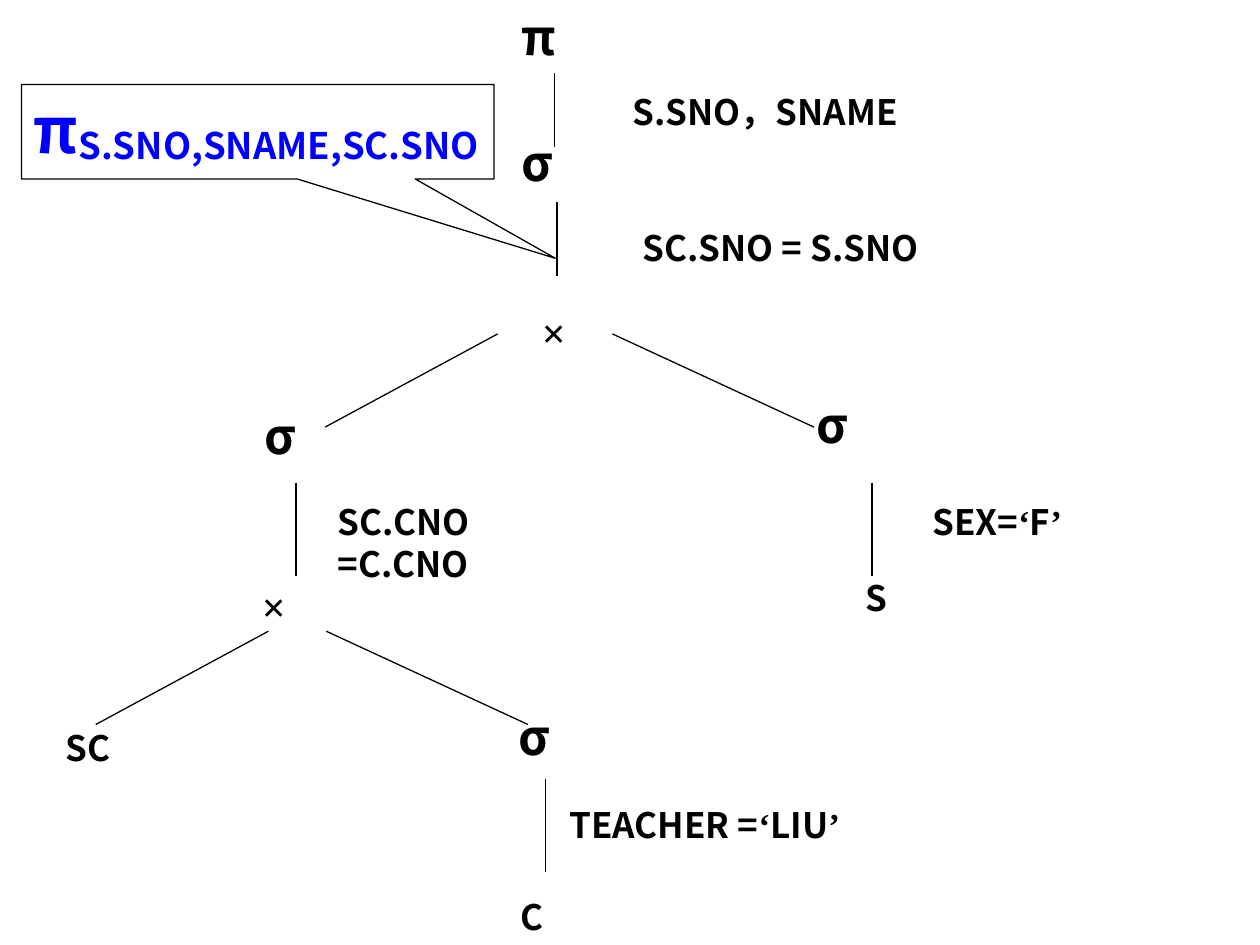
from dataclasses import dataclass

from lxml import etree
from pptx import Presentation
from pptx import util as u
from pptx.dml.color import RGBColor
from pptx.enum import shapes, text
from pptx.oxml import ns


@dataclass(frozen=True)
class Theme:
    sans: str = "Noto Sans CJK SC"
    serif: str = "Times New Roman"
    ink: RGBColor = RGBColor(0, 0, 0)
    blue: RGBColor = RGBColor(0, 0, 255)
    paper: RGBColor = RGBColor(255, 255, 255)
    body: int = 20
    cross: int = 24
    sign: int = 28
    call: int = 36
    rule: float = 0.75


T = Theme()


def add_run(para, words, size, face=T.sans, color=T.ink):
    run = para.add_run()
    run.text = words
    font = run.font
    font.size, font.bold, font.name = u.Pt(size), True, face
    font.color.rgb = color
    # East Asian glyphs use the same face
    props = run._r.get_or_add_rPr()
    etree.SubElement(props, ns.qn("a:ea")).set("typeface", face)
    return props


@dataclass
class Pane:
    """A region of the tree; parts are placed from its top left corner."""
    slide: object
    left: float
    top: float

    def spot(self, x, y):
        return u.Inches(self.left + x), u.Inches(self.top + y)

    def label(self, x, y, wide, high, *runs, size=T.body, pad=0.1):
        box = self.slide.shapes.add_textbox(
            *self.spot(x, y), u.Inches(wide), u.Inches(high))
        frame = box.text_frame
        frame.word_wrap = True
        frame.margin_left = u.Inches(pad)
        para = frame.paragraphs[0]
        para.alignment = text.PP_ALIGN.JUSTIFY
        for words, face in runs:
            add_run(para, words, size, face)

    def name(self, x, y, words, wide=1.14, high=0.44, **style):
        self.label(x, y, wide, high, (words, T.sans), **style)

    def sigma(self, x, y, wide=1.14, pad=0.19):
        self.name(x, y, "σ", wide, size=T.sign, pad=pad)

    def cross(self, x, y, wide, pad=0.1):
        self.label(x, y, wide, 0.44, ("×", T.serif), size=T.cross, pad=pad)

    def quote(self, x, y, wide, high, field, value):
        self.label(x, y, wide, high, (field, T.sans), ("‘", T.serif),
                   (value, T.sans), ("’", T.serif))

    def edge(self, x, y, dx, dy):
        line = self.slide.shapes.add_connector(
            shapes.MSO_CONNECTOR.STRAIGHT,
            *self.spot(x, y), *self.spot(x + dx, y + dy))
        line.line.color.rgb = T.ink
        line.line.width = u.Pt(T.rule)
        etree.SubElement(line._element.spPr, ns.qn("a:effectLst"))

    def stem(self, x, y, high=0.74):
        self.edge(x, y, 0, high)

    def fork(self, x, y, gap):
        self.edge(x, y, -1.37, 0.74)
        self.edge(x + gap, y, 1.6, 0.74)


def add_call(pane):
    # Callout pointing at the stem below the join condition
    box = pane.slide.shapes.add_shape(
        shapes.MSO_SHAPE.RECTANGULAR_CALLOUT,
        *pane.spot(0, 0), u.Inches(3.75), u.Inches(0.75))
    box.shadow.inherit = False
    box.adjustments[0], box.adjustments[1] = 0.63, 1.34
    box.fill.solid()
    box.fill.fore_color.rgb = T.paper
    box.line.color.rgb = T.ink
    box.line.width = u.Pt(T.rule)
    frame = box.text_frame
    frame.word_wrap = True
    frame.vertical_anchor = text.MSO_ANCHOR.TOP
    para = frame.paragraphs[0]
    para.alignment = text.PP_ALIGN.LEFT
    add_run(para, "π", T.call, color=T.blue)
    sub = add_run(para, "S.SNO,SNAME,SC.SNO", T.call, color=T.blue)
    sub.set("baseline", "-10000")


def add_root(pane):
    # Projection, selection and product down to the first fork
    pane.name(0, 0, "π", 1.67, size=T.sign, pad=0.19)
    pane.stem(0.45, 0.58, 0.59)
    pane.name(0.97, 0.67, "S.SNO，SNAME", 2.56, 0.42)
    pane.sigma(0, 1, 1.68)
    pane.stem(0.47, 1.6, 0.59)
    pane.name(1.05, 1.75, "SC.SNO = S.SNO", 3, 0.83)
    pane.cross(0, 2.38, 1.14, pad=0.35)
    pane.fork(0, 2.65, 0.91)


def add_join(pane):
    # Left branch: join of SC with the selected courses
    pane.sigma(0, 0)
    pane.stem(0.44, 0.66)
    pane.name(0.67, 0.75, "SC.CNO =C.CNO", 2.25, 0.75)
    pane.cross(0.07, 1.39, 1.37)
    pane.fork(0.22, 1.84, 0.46)
    pane.name(-1.49, 2.55, "SC", 1.37)


def add_course(pane):
    # Lower branch: courses chosen by teacher
    pane.sigma(0, 0, pad=0.1)
    pane.stem(0.31, 0.62)
    pane.quote(0.4, 0.77, 2.92, 0.67, "TEACHER =", "LIU")
    pane.name(-0.12, 1.5, "C", 1.6, pad=0.23)


def add_student(pane):
    # Right branch: students chosen by sex
    pane.sigma(0, 0)
    pane.stem(0.63, 0.75)
    pane.quote(1.01, 0.84, 2.53, 0.75, "SEX=", "F")
    pane.name(0.48, 1.45, "S")


def main():
    deck = Presentation()
    deck.slide_width, deck.slide_height = u.Inches(10), u.Inches(7.5)
    slide = deck.slides.add_slide(deck.slide_layouts[6])
    regions = [
        (add_call, 0.17, 0.67),
        (add_root, 3.95, 0),
        (add_join, 1.91, 3.17),
        (add_course, 4.02, 5.56),
        (add_student, 6.29, 3.08),
    ]
    for draw, left, top in regions:
        draw(Pane(slide, left, top))
    deck.save("out.pptx")


if __name__ == "__main__":
    main()
